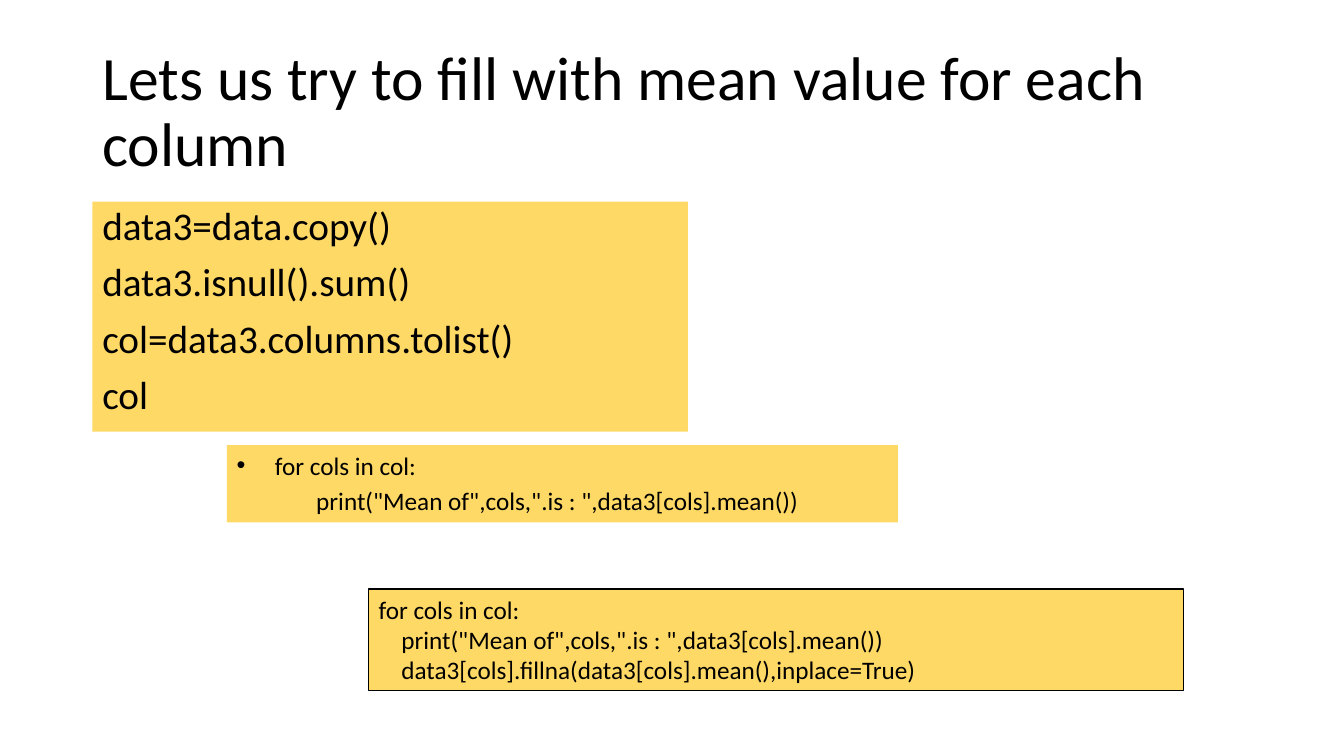
import pptx
import pptx.dml.color
import pptx.enum.shapes
import pptx.enum.text
import pptx.oxml.ns
import pptx.util
from lxml import etree

CELL = pptx.util.Inches(1 / 12)
COLS, ROWS = 160, 90
GOLD, BLACK = "FFD966", "000000"
INDENT = pptx.util.Inches(0.38)


def color(code):
    return pptx.dml.color.RGBColor.from_string(code)


def place(col, row, wide, high):
    """Turn grid cells into slide lengths."""
    return [round(n * CELL) for n in (col, row, wide, high)]


def bullet(par):
    props = par._p.get_or_add_pPr()
    props.set("marL", str(INDENT))
    props.set("indent", str(-INDENT))
    tags = {"buFont": {"typeface": "Arial"}, "buChar": {"char": "•"}}
    for tag, attrs in tags.items():
        etree.SubElement(props, pptx.oxml.ns.qn("a:" + tag), attrs)


def write(shape, lines, size, gap=0, lead=1.0, anchor="TOP", dot=False):
    frame = shape.text_frame
    frame.word_wrap = True
    frame.vertical_anchor = getattr(pptx.enum.text.MSO_ANCHOR, anchor)
    for i, line in enumerate(lines):
        par = frame.add_paragraph() if i else frame.paragraphs[0]
        if dot and i == 0:
            bullet(par)
        form = {
            "alignment": pptx.enum.text.PP_ALIGN.LEFT,
            "line_spacing": lead,
            "space_before": pptx.util.Pt(gap if i else 0),
        }
        for key, value in form.items():
            setattr(par, key, value)
        run = par.add_run()
        run.text = line
        font = {"name": "Calibri", "size": pptx.util.Pt(size)}
        for key, value in font.items():
            setattr(run.font, key, value)
        run.font.color.rgb = color(BLACK)


def title(slide, area, text):
    box = slide.shapes.add_textbox(*place(*area))
    write(box, [text], 44, lead=0.9, anchor="MIDDLE")


def code(slide, area, lines, size, edge=False, **form):
    """Add a gold panel holding lines of code."""
    kind = pptx.enum.shapes.MSO_SHAPE.RECTANGLE
    box = slide.shapes.add_shape(kind, *place(*area))
    box.shadow.inherit = False
    box.fill.solid()
    box.fill.fore_color.rgb = color(GOLD)
    if edge:
        box.line.color.rgb = color(BLACK)
        box.line.width = pptx.util.Pt(1)
    else:
        box.line.fill.background()
    write(box, lines, size, **form)


def main():
    deck = pptx.Presentation()
    deck.slide_width = COLS * CELL
    deck.slide_height = ROWS * CELL
    slide = deck.slides.add_slide(deck.slide_layouts[6])

    title(slide, (11, 4.8, 138, 17.4),
          "Lets us try to fill with mean value for each column")
    code(slide, (11, 24, 70.9, 27.4), [
        "data3=data.copy()",
        "data3.isnull().sum()",
        "col=data3.columns.tolist()",
        "col",
    ], 28, gap=10, lead=0.9)

    loop = "for cols in col:"
    mean = 'print("Mean of",cols,".is : ",data3[cols].mean())'
    code(slide, (27, 53, 79.9, 9.2), [loop, " " * 14 + mean], 18,
         gap=3.6, dot=True)
    code(slide, (43.9, 70.1, 97, 12.1), [
        loop,
        "    " + mean,
        "    data3[cols].fillna(data3[cols].mean(),inplace=True)",
    ], 18, edge=True)

    deck.save("out.pptx")


if __name__ == "__main__":
    main()
